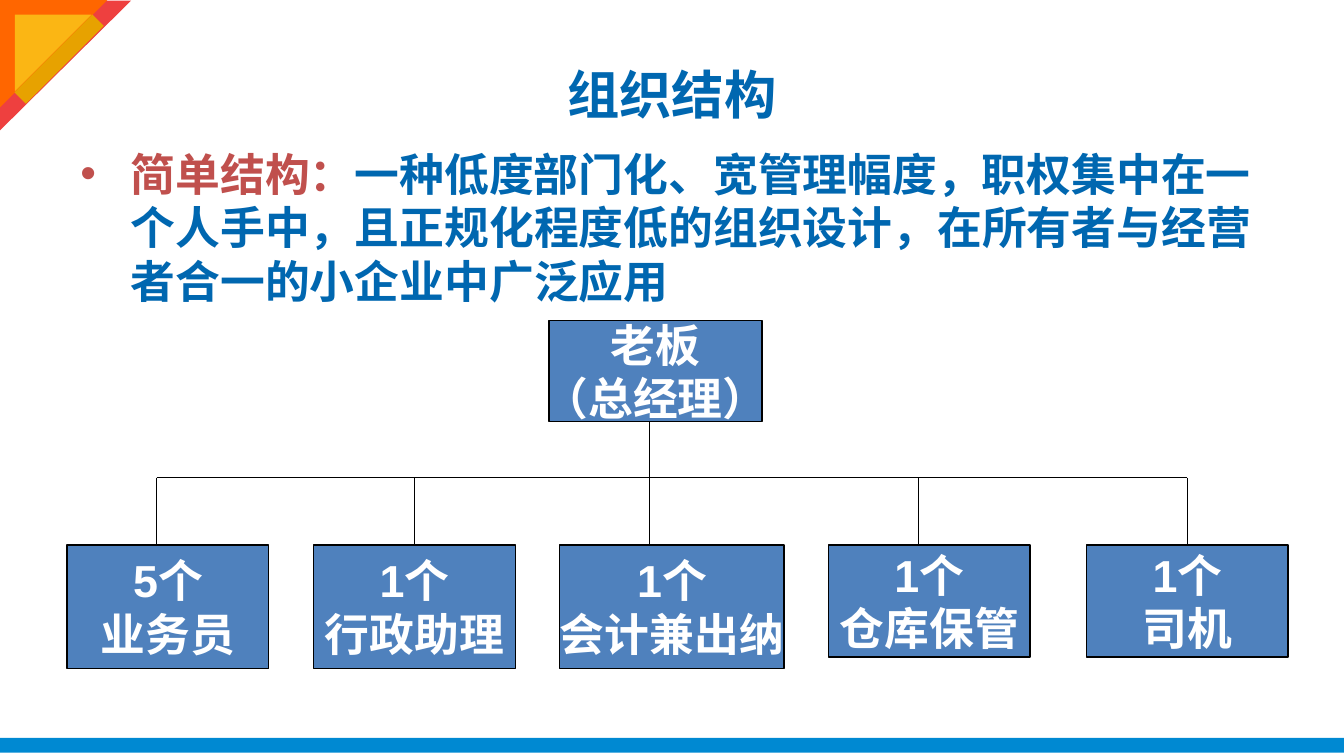
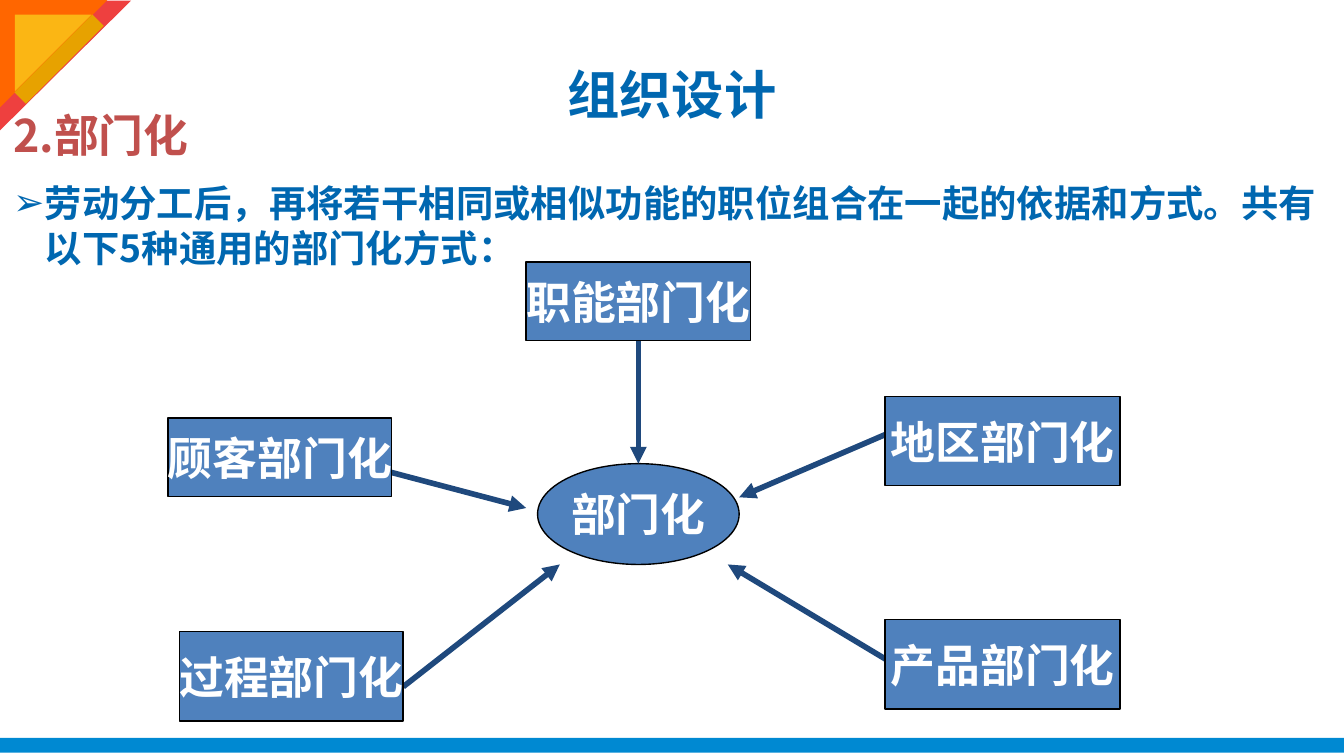
import dataclasses

import lxml.etree
import pptx
import pptx.dml.color
import pptx.enum.shapes
import pptx.enum.text
import pptx.oxml.ns
import pptx.util

PX = 4572
SHAPE = pptx.enum.shapes.MSO_SHAPE
TOP, BOTTOM = 0, 2


@dataclasses.dataclass(frozen=True)
class Theme:
    """Colours, fonts and type sizes of the deck."""
    blue: str = "0067B0"
    accent: str = "C0504D"
    box: str = "4F81BD"
    outline: str = "000000"
    arrow: str = "1F497D"
    white: str = "FFFFFF"
    footer: str = "0089D2"
    corner: tuple = ("EE403F", "FF6600", "FBB614", "E7A200")
    heading: str = "Calibri"
    label: str = "Arial"
    chinese: str = "Noto Sans CJK SC"
    title_pt: int = 28
    text_pt: int = 24
    detail_pt: int = 20
    thin_pt: float = 0.75
    thick_pt: int = 3


THEME = Theme()


def px(*lengths):
    """Turn px lengths into EMU."""
    return [pptx.util.Emu(length * PX) for length in lengths]


def rgb(colour):
    """Turn a hex string into a colour."""
    return pptx.dml.color.RGBColor.from_string(colour)


def sub(parent, tag, **attributes):
    """Append a drawing element to its parent."""
    return lxml.etree.SubElement(parent, pptx.oxml.ns.qn(tag), **attributes)


def add_run(paragraph, text, size, colour, font):
    """Add one bold run in a Latin font and the Chinese font."""
    run = paragraph.add_run()
    run.text = text
    run.font.size = pptx.util.Pt(size)
    run.font.bold = True
    run.font.color.rgb = rgb(colour)
    run.font.name = font
    sub(run.font._element, "a:ea", typeface=THEME.chinese)


def add_bullet(paragraph, mark, indent):
    """Give a paragraph a hanging bullet."""
    properties = paragraph._p.get_or_add_pPr()
    properties.set("marL", str(indent * PX))
    properties.set("indent", str(-indent * PX))
    sub(properties, "a:buFont", typeface=THEME.label)
    sub(properties, "a:buChar", char=mark)


def add_block(shapes, kind, box, fill, turn=0):
    """Add a plain filled shape."""
    block = shapes.add_shape(kind, *px(*box))
    block.shadow.inherit = False
    block.fill.solid()
    block.fill.fore_color.rgb = rgb(fill)
    block.line.fill.background()
    block.rotation = turn
    return block


def add_node(shapes, box, lines, kind=SHAPE.RECTANGLE):
    """Add an outlined diagram node with centred lines."""
    node = add_block(shapes, kind, box, THEME.box)
    node.line.fill.solid()
    node.line.color.rgb = rgb(THEME.outline)
    node.line.width = pptx.util.Pt(THEME.thin_pt)
    frame = node.text_frame
    frame.word_wrap = False
    frame.vertical_anchor = pptx.enum.text.MSO_ANCHOR.MIDDLE
    for index, text in enumerate(lines):
        paragraph = frame.add_paragraph() if index else frame.paragraphs[0]
        paragraph.alignment = pptx.enum.text.PP_ALIGN.CENTER
        add_run(paragraph, text, THEME.text_pt, THEME.white, THEME.label)
    return node


def add_line(shapes, start, end, colour, width, arrow=False):
    """Add a straight line, with an arrowhead at its end if asked."""
    line = shapes.add_connector(
        pptx.enum.shapes.MSO_CONNECTOR.STRAIGHT, *px(*start, *end))
    line.line.color.rgb = rgb(colour)
    line.line.width = pptx.util.Pt(width)
    if arrow:
        sub(line.line._get_or_add_ln(), "a:tailEnd", type="triangle")
    sub(line._element.spPr, "a:effectLst")
    return line


def add_text(slide, box):
    """Add a wrapping text box and return its frame."""
    frame = slide.shapes.add_textbox(*px(*box)).text_frame
    frame.word_wrap = True
    return frame


def draw_corner(slide, box):
    """Draw the folded corner from the top left of the box."""
    left, top = box[:2]
    parts = [
        (SHAPE.RIGHT_TRIANGLE, 0, 0, 194, 196, 90),
        (SHAPE.RIGHT_TRIANGLE, 0, 0, 160, 160, 90),
        (SHAPE.RIGHT_TRIANGLE, 22, 22, 114, 114, 90),
        (SHAPE.RECTANGLE, 76, 6, 24, 164, 45),
    ]
    for (kind, x, y, width, height, turn), fill in zip(parts, THEME.corner):
        add_block(slide.shapes, kind, (left + x, top + y, width, height), fill, turn)


def draw_title(slide, box, text):
    """Place and format the title."""
    title = slide.shapes.title
    title.left, title.top, title.width, title.height = px(*box)
    title.text_frame.vertical_anchor = pptx.enum.text.MSO_ANCHOR.MIDDLE
    paragraph = title.text_frame.paragraphs[0]
    paragraph.alignment = pptx.enum.text.PP_ALIGN.CENTER
    add_run(paragraph, text, THEME.title_pt, THEME.blue, THEME.heading)


def add_slide(deck, title):
    """Add a slide with the shared corner, footer band and title."""
    slide = deck.slides.add_slide(deck.slide_layouts[5])
    add_block(slide.shapes, SHAPE.RECTANGLE, (0, 1098, 2000, 22), THEME.footer)
    draw_corner(slide, (0, 0, 194, 196))
    draw_title(slide, (100, 46, 1800, 188), title)
    return slide


def draw_definition(slide, box):
    """Write the definition of the simple structure."""
    paragraph = add_text(slide, box).paragraphs[0]
    add_bullet(paragraph, "•", 75)
    add_run(paragraph, "简单结构：", THEME.text_pt, THEME.accent, THEME.heading)
    add_run(paragraph,
            "一种低度部门化、宽管理幅度，职权集中在一个人手中，"
            "且正规化程度低的组织设计，在所有者与经营者合一的小企业中广泛应用",
            THEME.text_pt, THEME.blue, THEME.heading)


def draw_organisation(slide, box):
    """Draw the manager, the branch lines and the staff row."""
    left, top = box[:2]
    shapes = slide.shapes.add_group_shape().shapes
    branch, staff_top = top + 234, top + 334
    staff = [
        (0, 300, 184, 133, "5个", "业务员"),
        (367, 300, 184, 517, "1个", "行政助理"),
        (733, 334, 184, 867, "1个", "会计兼出纳"),
        (1133, 300, 167, 1267, "1个", "仓库保管"),
        (1517, 300, 167, 1667, "1个", "司机"),
    ]

    def branch_line(start, end):
        return add_line(shapes, start, end, THEME.outline, THEME.thin_pt)

    trunk = left + 867
    add_node(shapes, (left + 717, top, 317, 150), ("老板", "（总经理）"))
    branch_line((trunk, top + 150), (trunk, branch))
    branch_line((left + staff[0][3], branch), (left + staff[-1][3], branch))
    for x, width, height, drop, count, role in staff:
        line = branch_line((left + drop, branch), (left + drop, staff_top))
        post = add_node(shapes, (left + x, staff_top, width, height), (count, role))
        if drop == x + width // 2:
            line.end_connect(post, TOP)


def draw_explanation(slide, box):
    """Write the heading and explanation of departmentalisation."""
    frame = add_text(slide, box)
    add_run(frame.paragraphs[0], "2.部门化", THEME.text_pt, THEME.accent, THEME.chinese)
    paragraph = frame.add_paragraph()
    add_bullet(paragraph, "➢", 47)
    paragraph.space_before = pptx.util.Pt(THEME.detail_pt // 2)
    add_run(paragraph,
            "劳动分工后，再将若干相同或相似功能的职位组合在一起的依据和方式。"
            "共有以下5种通用的部门化方式：",
            THEME.detail_pt, THEME.blue, THEME.chinese)


def draw_departments(slide, box):
    """Draw the five kinds of department pointing at the centre."""
    left, top = box[:2]
    shapes = slide.shapes
    centre = add_node(shapes, (left + 550, top + 300, 300, 150), ("部门化",), SHAPE.OVAL)
    departments = [
        ("职能部门化", (533, 0, 334, 117), (700, 117), (700, 300)),
        ("地区部门化", (1067, 200, 350, 133), (1083, 250), (850, 350)),
        ("产品部门化", (1067, 532, 350, 133), (1083, 600), (833, 450)),
        ("过程部门化", (17, 550, 333, 133), (350, 632), (583, 450)),
        ("顾客部门化", (0, 232, 333, 117), (283, 300), (533, 366)),
    ]
    for name, (x, y, width, height), start, end in departments:
        arrow = add_line(shapes, (left + start[0], top + start[1]),
                         (left + end[0], top + end[1]),
                         THEME.arrow, THEME.thick_pt, arrow=True)
        department = add_node(shapes, (left + x, top + y, width, height), (name,))
        if start == (x + width // 2, y + height):
            arrow.begin_connect(department, BOTTOM)
            arrow.end_connect(centre, TOP)


def main():
    """Build and save the two slides."""
    deck = pptx.Presentation()
    deck.slide_width, deck.slide_height = px(2000, 1125)
    structure = add_slide(deck, "组织结构")
    draw_definition(structure, (100, 208, 1800, 796))
    draw_organisation(structure, (100, 477, 1817, 518))
    design = add_slide(deck, "组织设计")
    draw_explanation(design, (0, 150, 2000, 270))
    draw_departments(design, (250, 390, 1417, 683))
    deck.save("out.pptx")


if __name__ == "__main__":
    main()
